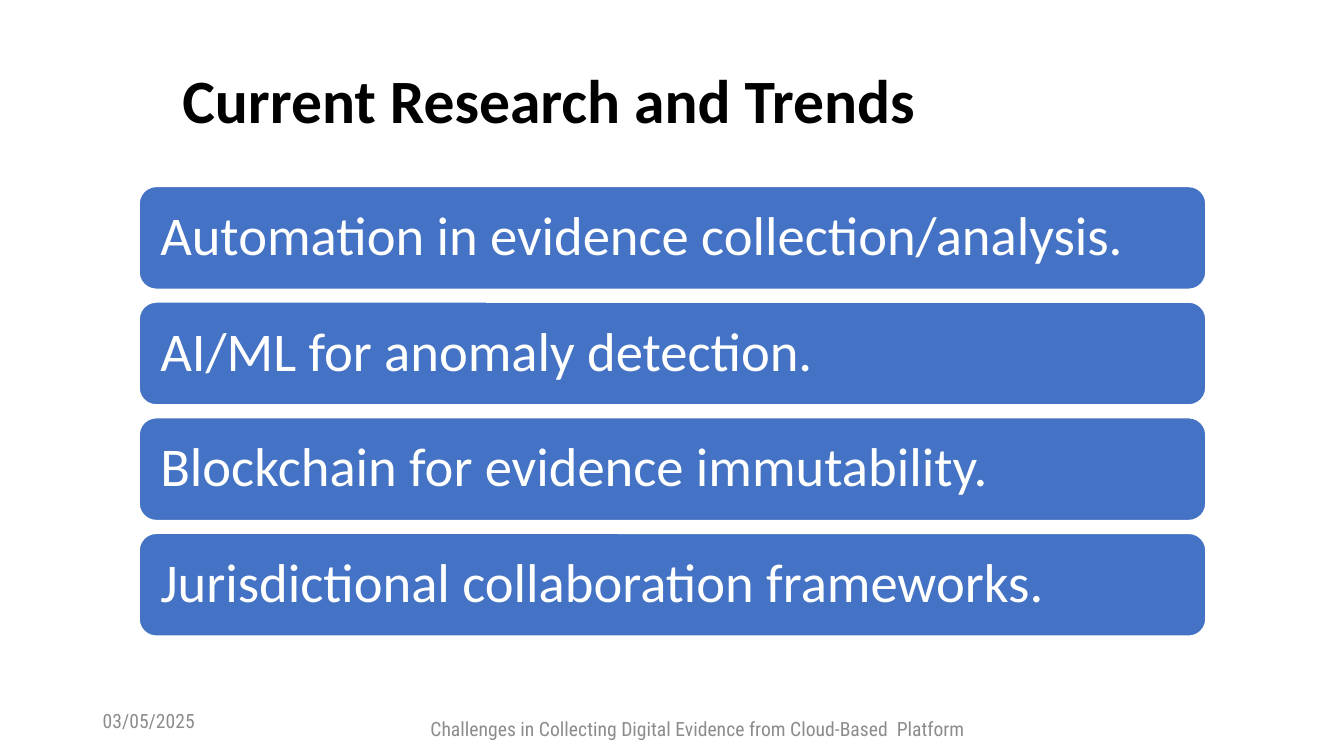
from pptx import Presentation
from pptx import util as u
from pptx.dml.color import RGBColor
from pptx.enum import shapes, text

COLORS = {"title": "000000", "muted": "8C8C8C", "bar": "4472C4", "white": "FFFFFF"}


def write(box, words, size, color, font="Calibri", bold=False,
          align=text.PP_ALIGN.LEFT, spacing=1.0, inset=None):
    frame = box.text_frame
    frame.word_wrap = True
    frame.vertical_anchor = text.MSO_ANCHOR.MIDDLE
    if inset is not None:
        frame.margin_left = frame.margin_right = u.Inches(inset)
        frame.margin_top = frame.margin_bottom = u.Inches(inset)
    para = frame.paragraphs[0]
    para.alignment = align
    para.line_spacing = spacing
    span = para.add_run()
    span.text = words
    span.font.name = font
    span.font.size = u.Pt(size)
    span.font.bold = bold
    span.font.color.rgb = RGBColor.from_string(COLORS[color])


deck = Presentation()
deck.slide_width = u.Inches(13.33)
deck.slide_height = u.Inches(7.5)
page = deck.slides.add_slide(deck.slide_layouts[6])

title = page.shapes.add_textbox(u.Inches(1.71), u.Inches(0.55), u.Inches(11.5), u.Inches(0.96))
write(title, "Current Research and Trends", 44, "title", bold=True, spacing=0.9)

date = page.shapes.add_textbox(u.Inches(0.92), u.Inches(6.95), u.Inches(3), u.Inches(0.4))
write(date, "03/05/2025", 14, "muted", font="Roboto Condensed")

footer = page.shapes.add_textbox(u.Inches(1.96), u.Inches(7.03), u.Inches(9.92), u.Inches(0.4))
write(footer, "Challenges in Collecting Digital Evidence from Cloud-Based  Platform", 14, "muted",
      font="Roboto Condensed", align=text.PP_ALIGN.CENTER)

trends = [
    "Automation in evidence collection/analysis.",
    "AI/ML for anomaly detection.",
    "Blockchain for evidence immutability.",
    "Jurisdictional collaboration frameworks.",
]
first_top, pitch = 1.85, 1.147
for index, trend in enumerate(trends):
    bar = page.shapes.add_shape(
        shapes.MSO_SHAPE.ROUNDED_RECTANGLE,
        u.Inches(1.38), u.Inches(first_top + index * pitch), u.Inches(10.58), u.Inches(1.02))
    bar.shadow.inherit = False
    bar.fill.solid()
    bar.fill.fore_color.rgb = RGBColor.from_string(COLORS["bar"])
    bar.line.color.rgb = RGBColor.from_string(COLORS["white"])
    bar.line.width = u.Pt(1)
    write(bar, trend, 39, "white", spacing=0.9, inset=0.16)

deck.save("out.pptx")
